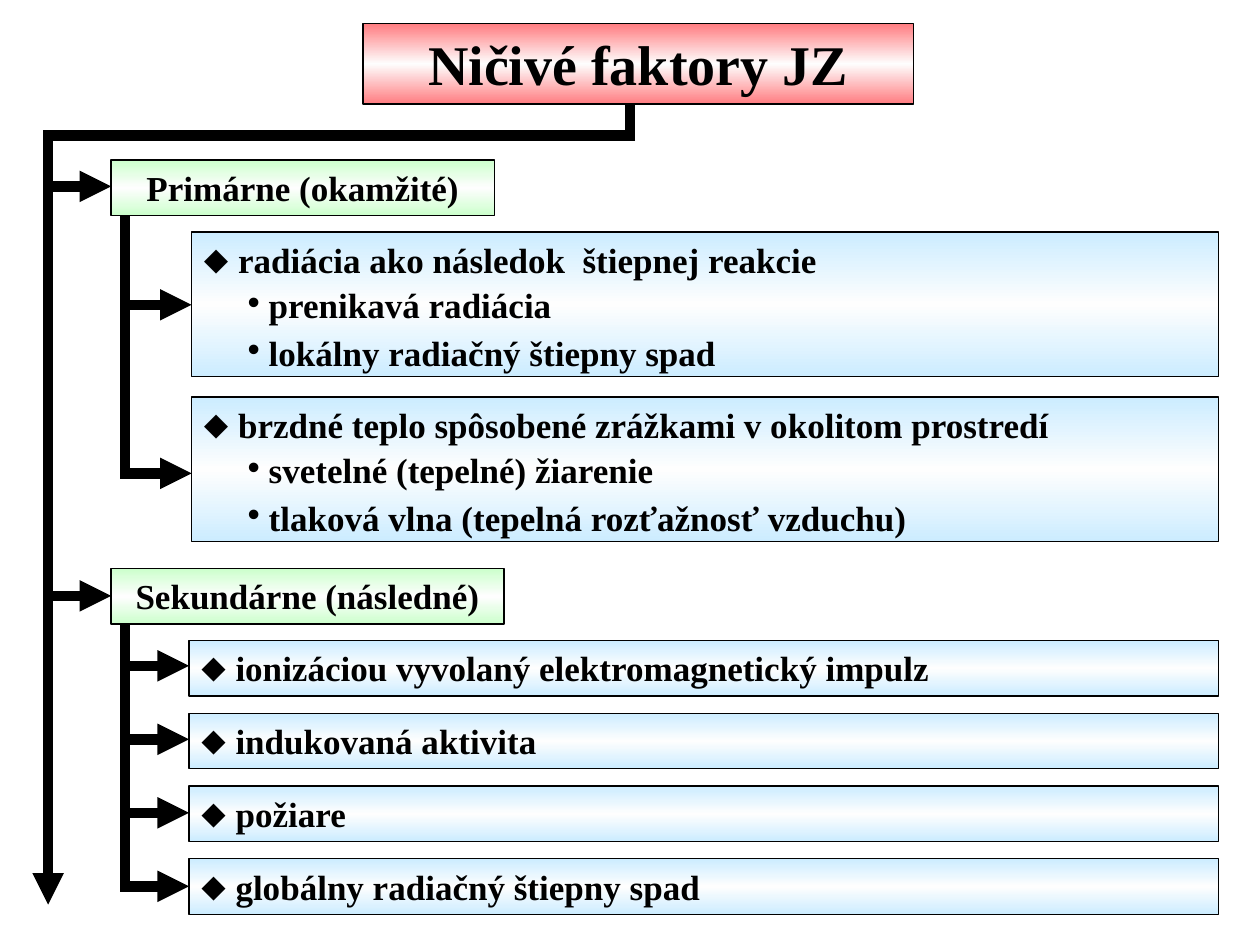
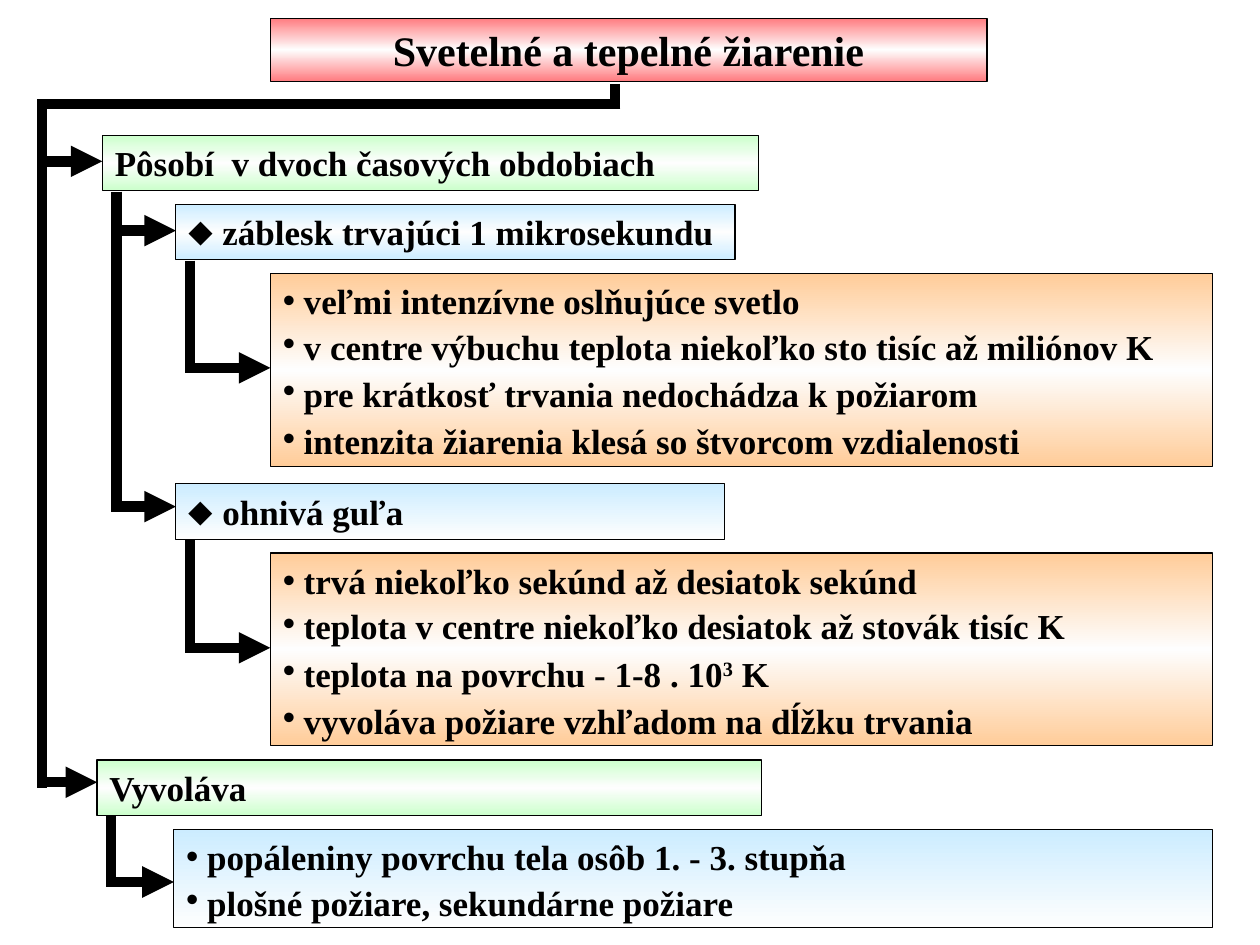
import copy

import pptx
import pptx.dml.color
import pptx.enum.shapes
import pptx.enum.text
import pptx.oxml.ns
import pptx.util
from lxml import etree

Pt = pptx.util.Pt
qn = pptx.oxml.ns.qn

FONT = "Times New Roman"
BLACK, WHITE = "000000", "FEFEFE"
LINE_W = 6
# kind: (edge colour, True when the colour returns at the bottom)
FILLS = {
    "title": ("FF7C80", True),
    "group": ("CCFFCC", True),
    "item": ("CCECFF", True),
    "fade": ("CCECFF", False),
    "detail": ("FFCC99", True),
}
HEIGHTS = {1: 31.7, 2: 56.2, 3: 82.8, 4: 110.2}  # by number of lines
# mark: (left margin of the mark, gap from mark to text)
MARKS = {"⬥": (0, 19.5), "•": (0, 12)}
SUB_MARGIN = 25


def node(kind, x, y, w, arrow_y, lines, children=()):
    return dict(kind=kind, x=x, y=y, w=w, h=HEIGHTS[len(lines)],
                arrow_y=arrow_y, lines=lines, children=children)


# Lines starting with "-" are sub-items; text between ^ signs is superscript.
SLIDES = [
    dict(
        title=("Ničivé faktory JZ", 32, (207.5, 13.5, 314.5, 46)),
        stem=(360, 60), bar_y=77.5, trunk_x=27.5, trunk_end=517, centred=True,
        groups=[
            node("group", 63.5, 91.5, 219, 106.5, ["Primárne (okamžité)"], [
                node("item", 109.5, 132.5, 587, 174.2, [
                    "⬥ radiácia ako následok  štiepnej reakcie",
                    "-• prenikavá radiácia",
                    "-• lokálny radiačný štiepny spad"]),
                node("item", 109.5, 226.8, 587, 270.5, [
                    "⬥ brzdné teplo spôsobené zrážkami v okolitom prostredí",
                    "-• svetelné (tepelné) žiarenie",
                    "-• tlaková vlna (tepelná rozťažnosť vzduchu)"]),
            ]),
            node("group", 63.5, 325, 224.5, 340.5, ["Sekundárne (následné)"], [
                node("item", 108, 366 + 41.6 * i, 588.5, 380.5 + 42 * i, ["⬥ " + text])
                for i, text in enumerate([
                    "ionizáciou vyvolaný elektromagnetický impulz",
                    "indukovaná aktivita",
                    "požiare",
                    "globálny radiačný štiepny spad"])
            ]),
        ],
    ),
    dict(
        title=("Svetelné a tepelné žiarenie", 24, (154.5, 10.5, 409.5, 36)),
        stem=(351.5, 48), bar_y=59.5, trunk_x=24, trunk_end=None, centred=False,
        groups=[
            node("group", 58.5, 77.3, 375, 92.2, ["Pôsobí  v dvoch časových obdobiach"], [
                node("item", 100.5, 116.8, 319.5, 131.8, ["⬥ záblesk trvajúci 1 mikrosekundu"], [
                    node("detail", 154.5, 156.3, 538.5, 210.2, [
                        "• veľmi intenzívne oslňujúce svetlo",
                        "• v centre výbuchu teplota niekoľko sto tisíc až miliónov K",
                        "• pre krátkosť trvania nedochádza k požiarom",
                        "• intenzita žiarenia klesá so štvorcom vzdialenosti"]),
                ]),
                node("fade", 100.5, 276.5, 313.5, 289.5, ["⬥ ohnivá guľa"], [
                    node("detail", 154.5, 316, 538.5, 370.2, [
                        "• trvá niekoľko sekúnd až desiatok sekúnd",
                        "• teplota v centre niekoľko desiatok až stovák tisíc K",
                        "• teplota na povrchu - 1-8 . 10^3^ K",
                        "• vyvoláva požiare vzhľadom na dĺžku trvania"]),
                ]),
            ]),
            node("group", 55.5, 434.3, 379.5, 447, ["Vyvoláva"], [
                node("fade", 99.3, 473.8, 593.7, 504, [
                    "• popáleniny povrchu tela osôb 1. - 3. stupňa",
                    "• plošné požiare, sekundárne požiare"]),
            ]),
        ],
    ),
]


def rgb(hex_colour):
    return pptx.dml.color.RGBColor.from_string(hex_colour)


def fill_gradient(s, kind):
    colour, mirrored = FILLS[kind]
    s.fill.gradient()
    s.fill.gradient_angle = 270
    first, last = s.fill.gradient_stops
    first.color.rgb, first.position = rgb(colour), 0
    last.color.rgb, last.position = rgb(WHITE), 0.5 if mirrored else 1
    if mirrored:
        stops = s._element.spPr.find(".//" + qn("a:gsLst"))
        end = copy.deepcopy(stops[0])
        end.set("pos", "100000")
        stops.append(end)


def set_bullet(p, mark, extra_margin):
    margin, gap = MARKS[mark]
    pPr = p._p.get_or_add_pPr()
    pPr.set("marL", str(Pt(margin + extra_margin + gap)))
    pPr.set("indent", str(-Pt(gap)))
    etree.SubElement(pPr, qn("a:buFont")).set("typeface", "Arial")
    etree.SubElement(pPr, qn("a:buChar")).set("char", mark)


def add_line_of_text(p, line, size):
    is_sub = line.startswith("-")
    line = line.removeprefix("-")
    if line[0] in MARKS:
        set_bullet(p, line[0], SUB_MARGIN if is_sub else 0)
        line = line[2:]
    for i, part in enumerate(line.split("^")):
        r = p.add_run()
        r.text = part
        r.font.name, r.font.size, r.font.bold = FONT, Pt(size), True
        r.font.color.rgb = rgb(BLACK)
        if i % 2:
            r.font._element.set("baseline", "30000")


def add_box(slide, kind, bounds, lines, size=20, centred=False):
    s = slide.shapes.add_shape(pptx.enum.shapes.MSO_SHAPE.RECTANGLE, *map(Pt, bounds))
    s.shadow.inherit = False
    fill_gradient(s, kind)
    s.line.color.rgb, s.line.width = rgb(BLACK), Pt(0.75)
    tf = s.text_frame
    tf.word_wrap = True
    tf.vertical_anchor = pptx.enum.text.MSO_ANCHOR.TOP
    align = pptx.enum.text.PP_ALIGN
    for i, line in enumerate(lines):
        p = tf.add_paragraph() if i else tf.paragraphs[0]
        p.alignment = align.CENTER if centred else align.LEFT
        if i:
            p.line_spacing, p.space_before, p.space_after = 0.5, Pt(12.5), Pt(2.5)
        add_line_of_text(p, line, size)


def add_line(slide, x1, y1, x2, y2, arrow=False):
    c = slide.shapes.add_connector(
        pptx.enum.shapes.MSO_CONNECTOR.STRAIGHT, *map(Pt, (x1, y1, x2, y2)))
    c.line.color.rgb, c.line.width = rgb(BLACK), Pt(LINE_W)
    if arrow:
        etree.SubElement(c.line._get_or_add_ln(), qn("a:tailEnd")).set("type", "triangle")
    etree.SubElement(c._element.spPr, qn("a:effectLst"))


def add_boxes(slide, nodes, centred):
    for n in nodes:
        add_box(slide, n["kind"], (n["x"], n["y"], n["w"], n["h"]), n["lines"],
                centred=centred)
        add_boxes(slide, n["children"], False)


def add_branches(slide, x, top, nodes, end=None):
    """Draw a spine at x with an arrow to each node, then each node's own branches."""
    spine_end = end or nodes[-1]["arrow_y"] + LINE_W / 2
    add_line(slide, x, top, x, spine_end, arrow=end is not None)
    for n in nodes:
        add_line(slide, x, n["arrow_y"], n["x"], n["arrow_y"], arrow=True)
        if n["children"]:
            add_branches(slide, n["x"] + 8, n["y"] + n["h"] + 0.5, n["children"])


def build_slide(prs, data):
    slide = prs.slides.add_slide(prs.slide_layouts[6])
    text, size, bounds = data["title"]
    add_box(slide, "title", bounds, [text], size, centred=True)
    add_boxes(slide, data["groups"], data["centred"])

    half = LINE_W / 2
    stem_x, stem_top = data["stem"]
    bar_y, trunk_x = data["bar_y"], data["trunk_x"]
    add_line(slide, stem_x, stem_top, stem_x, bar_y)
    add_line(slide, stem_x + half, bar_y, trunk_x - half, bar_y)
    add_branches(slide, trunk_x, bar_y, data["groups"], data["trunk_end"])


def main():
    prs = pptx.Presentation()
    prs.slide_width, prs.slide_height = Pt(720), Pt(540)
    for data in SLIDES:
        build_slide(prs, data)
    prs.save("out.pptx")


if __name__ == "__main__":
    main()
